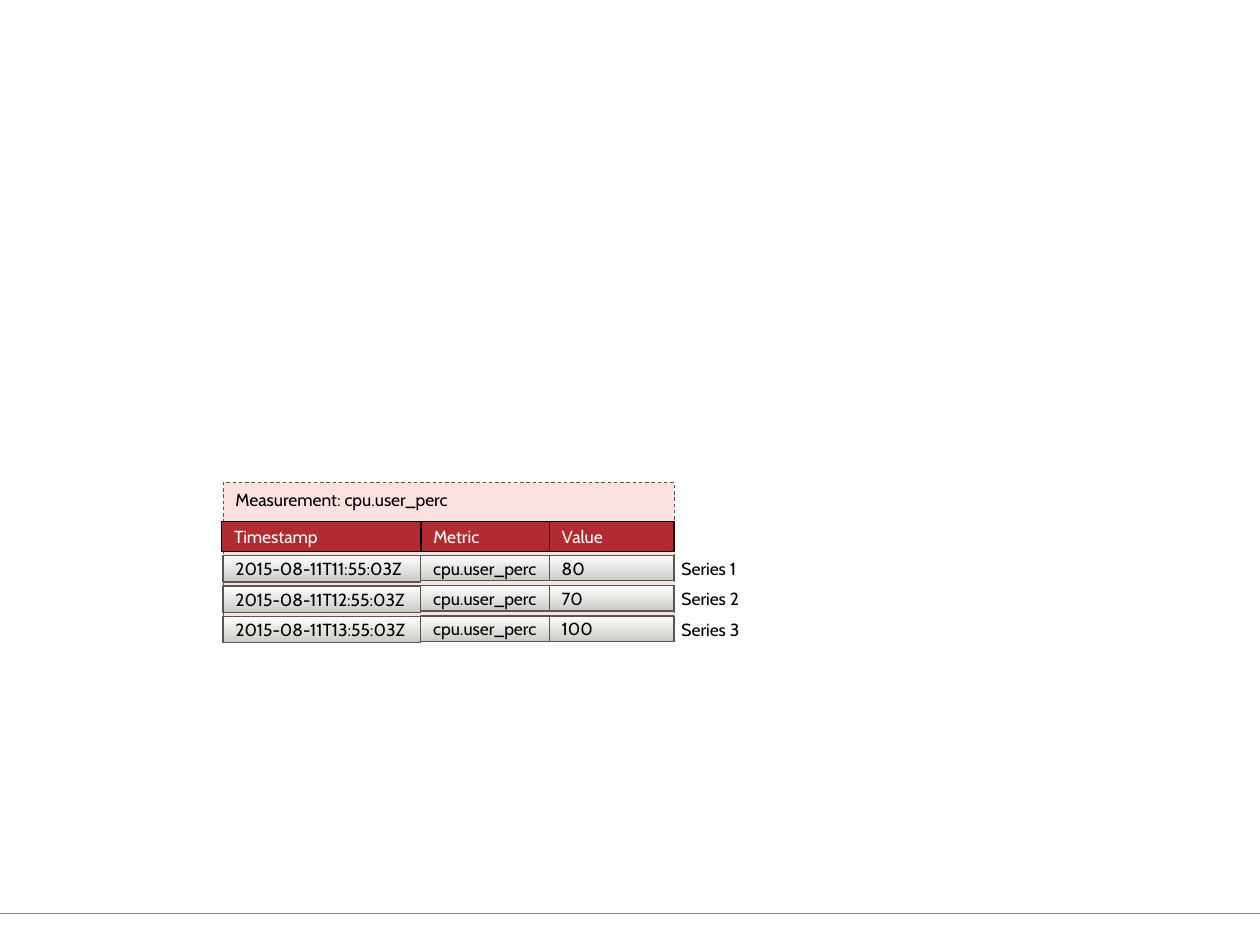
from pptx import Presentation
from pptx.dml.color import RGBColor
from pptx.enum.dml import MSO_LINE
from pptx.enum.shapes import MSO_CONNECTOR, MSO_SHAPE
from pptx.enum.text import MSO_ANCHOR, MSO_AUTO_SIZE, PP_ALIGN
from pptx.oxml.ns import qn
from pptx.util import Inches, Pt
from lxml import etree

DASH = MSO_LINE.DASH
STRAIGHT = MSO_CONNECTOR.STRAIGHT
RECT = MSO_SHAPE.RECTANGLE
TOP, MIDDLE = MSO_ANCHOR.TOP, MSO_ANCHOR.MIDDLE
FIT_SHAPE = MSO_AUTO_SIZE.SHAPE_TO_FIT_TEXT
LEFT = PP_ALIGN.LEFT

BLACK, WHITE = "000000", "FFFFFF"
PINK, RED, GREY = "FBE2E1", "B22B30", "57564F"
SILVER = (WHITE, "CACAC7")


def rgb(value):
    """Return the colour for a hex string."""
    return RGBColor.from_string(value)


def write(sp, text, color=BLACK, size=10, font="Cabin", anchor=TOP):
    """Put one left-aligned, unwrapped line of text in a shape."""
    tf = sp.text_frame
    tf.word_wrap = False
    tf.vertical_anchor = anchor
    p = tf.paragraphs[0]
    p.alignment = LEFT
    r = p.add_run()
    r.text = text
    r.font.name = font
    r.font.size = Pt(size)
    r.font.color.rgb = rgb(color)


class Canvas:
    """Draws styled elements on the current slide."""

    def __init__(self, slide):
        """Keep the slide to draw on."""
        self.shapes = slide.shapes

    def box(self, at, text, fill, line=GREY, width=0.75, dash=None, **fmt):
        """Add a rectangle with a plain fill or a top-to-bottom gradient."""
        sp = self.shapes.add_shape(RECT, *map(Inches, at))
        sp.shadow.inherit = False
        if isinstance(fill, tuple):
            sp.fill.gradient()
            sp.fill.gradient_angle = 270
            for stop, color, position in zip(sp.fill.gradient_stops, fill, (0, 1)):
                stop.color.rgb = rgb(color)
                stop.position = position
        else:
            sp.fill.solid()
            sp.fill.fore_color.rgb = rgb(fill)
        sp.line.color.rgb = rgb(line)
        sp.line.width = Pt(width)
        if dash:
            sp.line.dash_style = dash
        write(sp, text, **fmt)

    def label(self, at, text, **fmt):
        """Add a text box that fits its text."""
        sp = self.shapes.add_textbox(*map(Inches, at))
        write(sp, text, **fmt)
        sp.text_frame.auto_size = FIT_SHAPE

    def rule(self, y, color, width):
        """Add a horizontal line across the slide."""
        cx = self.shapes.add_connector(
            STRAIGHT, Inches(0), Inches(y), Inches(10), Inches(y))
        cx.line.color.rgb = rgb(color)
        cx.line.width = Pt(width)
        etree.SubElement(cx._element.spPr, qn("a:effectLst"))


HEADERS = [("Timestamp", 1.76, 1.58), ("Metric", 3.34, 1.02), ("Value", 4.36, 0.99)]
CELLS = [(1.77, 1.57, 0.21), (3.34, 1.03, 0.2), (4.36, 0.99, 0.2)]
ROWS = [
    ("2015-08-11T11:55:03Z", "cpu.user_perc", "80"),
    ("2015-08-11T12:55:03Z", "cpu.user_perc", "70"),
    ("2015-08-11T13:55:03Z", "cpu.user_perc", "100"),
]
ROW_TOP, ROW_PITCH = 4.41, 0.24


def main():
    """Build and save the slide."""
    prs = Presentation()
    prs.slide_width, prs.slide_height = Inches(10), Inches(7.5)
    s = Canvas(prs.slides.add_slide(prs.slide_layouts[6]))

    s.rule(7.25, "87867E", 1)
    s.box((1.77, 3.83, 3.58, 1.26), "Measurement: cpu.user_perc", PINK,
          width=0.5, dash=DASH)
    for name, x, w in HEADERS:
        s.box((x, 4.14, w, 0.24), name, RED, line=BLACK, color=WHITE, anchor=MIDDLE)
    for i, row in enumerate(ROWS):
        y = ROW_TOP + i * ROW_PITCH
        for value, (x, w, h) in zip(row, CELLS):
            s.box((x, y, w, h), value, SILVER, anchor=MIDDLE)
        s.label((5.31, y - 0.03, 0.71, 0.27), f"Series {i + 1}")

    prs.save("out.pptx")


main()
